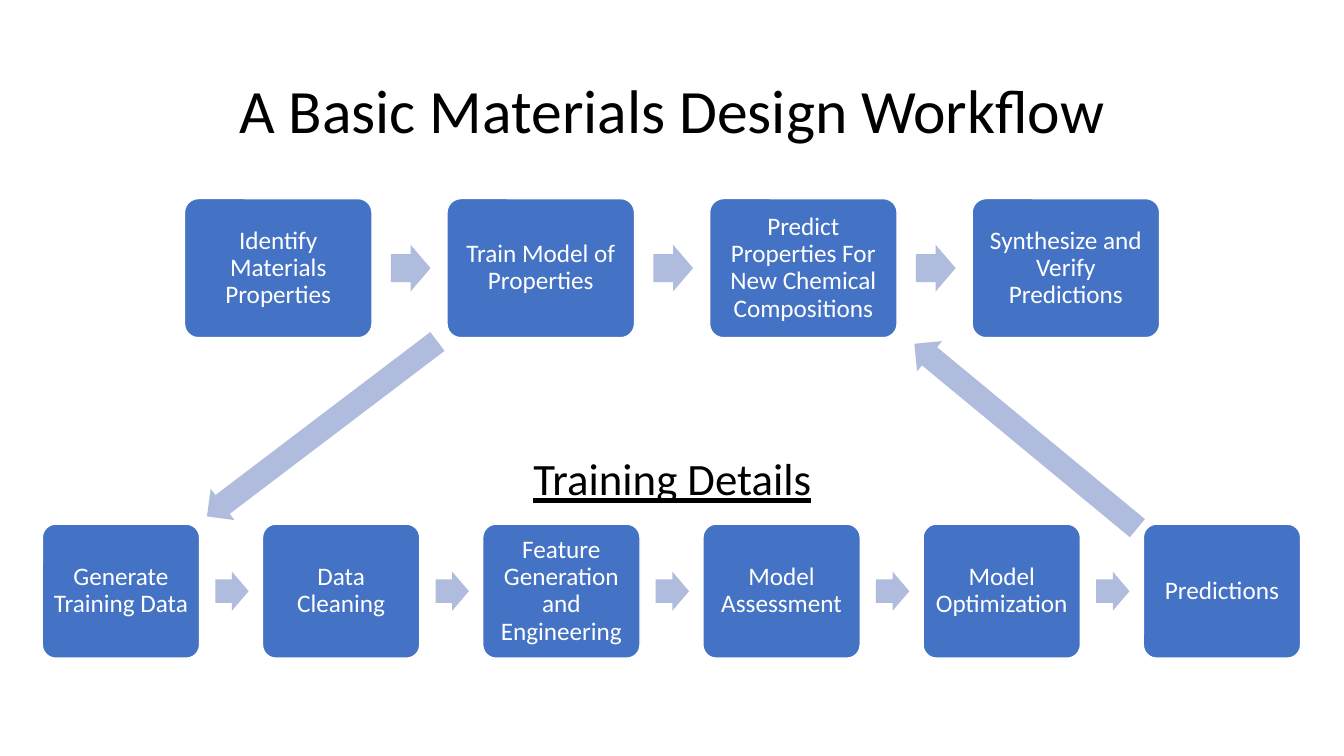
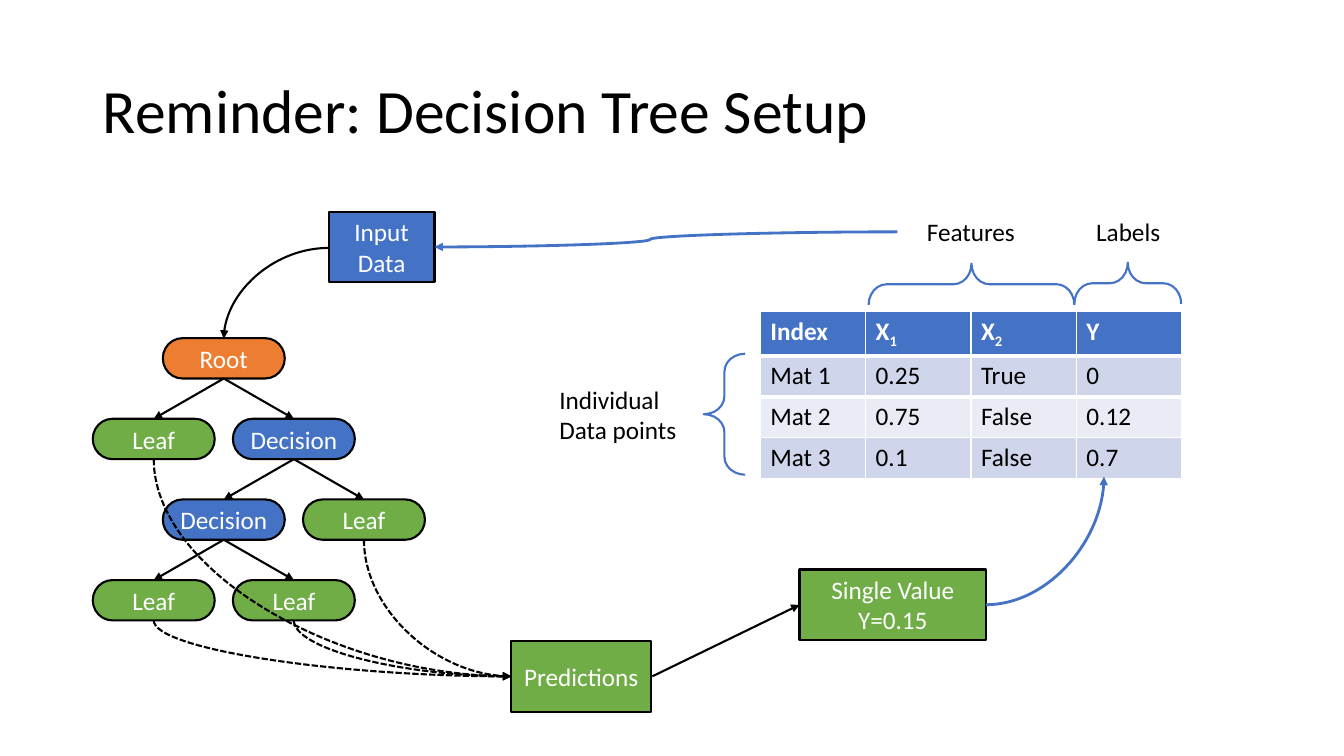
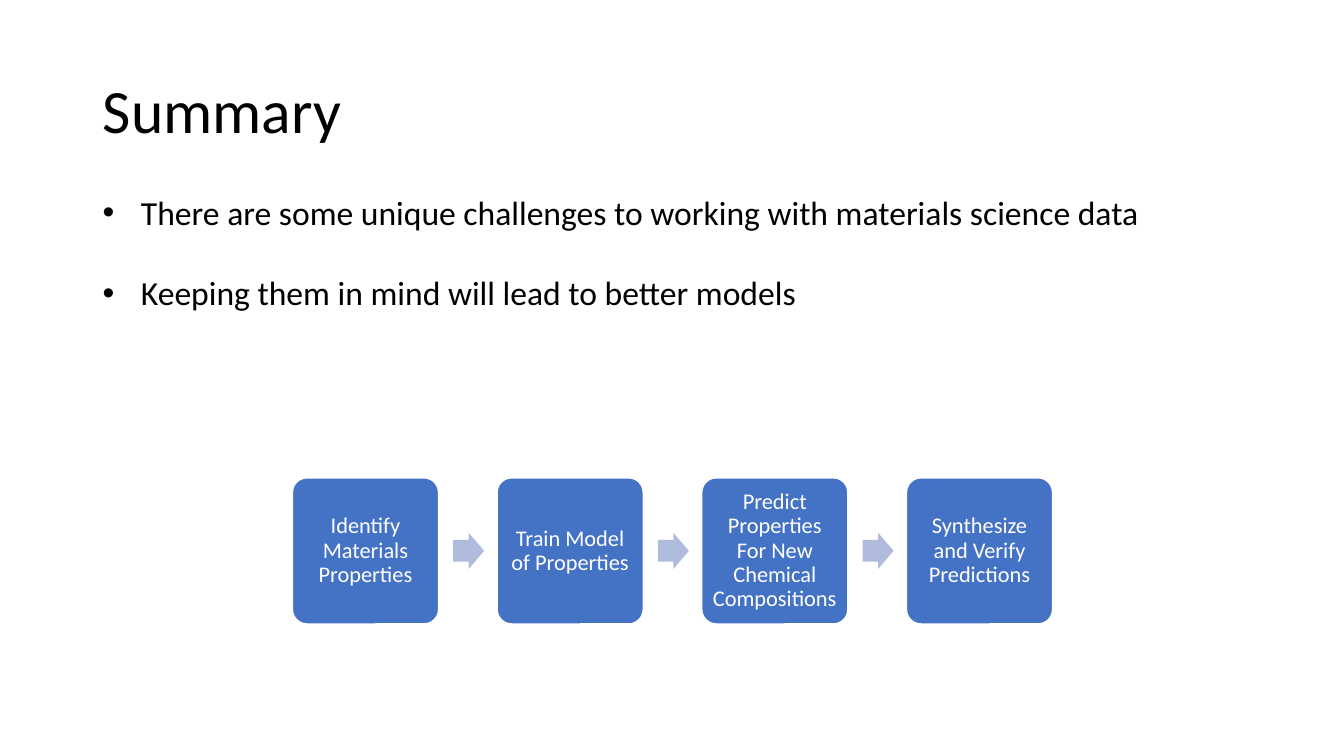
from pptx import Presentation
from pptx.dml.color import RGBColor
from pptx.enum.dml import MSO_LINE
from pptx.enum.shapes import MSO_CONNECTOR as Link, MSO_SHAPE as Kind
from pptx.enum.text import MSO_ANCHOR as Anchor, PP_ALIGN as Align
from pptx.oxml import parse_xml
from pptx.oxml.ns import nsdecls, qn
from pptx.oxml.xmlchemy import OxmlElement as Node
from pptx.util import Inches, Pt

BLUE = RGBColor(0x44, 0x72, 0xC4)
PALE = RGBColor(0xB0, 0xBC, 0xDE)
GREEN = RGBColor(0x70, 0xAD, 0x47)
ORANGE = RGBColor(0xED, 0x7D, 0x31)
BAND = RGBColor(0xCF, 0xD5, 0xEA)
LIGHT = RGBColor(0xE9, 0xEB, 0xF5)
BLACK = RGBColor(0, 0, 0)
WHITE = RGBColor(255, 255, 255)
FACE = "Calibri"
HEAD = (0.92, 0.4, 11.5, 1.45)

# Content
FLOW = ["Identify Materials Properties", "Train Model of Properties",
        "Predict Properties For New Chemical Compositions",
        "Synthesize and Verify Predictions"]
TRAIN = ["Generate Training Data", "Data Cleaning",
         "Feature Generation and Engineering", "Model Assessment",
         "Model Optimization", "Predictions"]
TURNS = [((1.76, 4.06, 2.87, 0.39), 142.8), ((8.74, 4.13, 2.87, 0.39), 219.6)]

# Tree nodes: label, column, row, colour
TREE = {
    "root": ("Root", 1, 0, ORANGE),
    "high": ("Decision", 2, 1, BLUE),
    "leaf1": ("Leaf", 0, 1, GREEN),
    "leaf2": ("Leaf", 3, 2, GREEN),
    "low": ("Decision", 1, 2, BLUE),
    "leaf3": ("Leaf", 2, 3, GREEN),
    "leaf4": ("Leaf", 0, 3, GREEN),
}
EDGES = [("root", "high"), ("root", "leaf1"), ("high", "leaf2"),
         ("high", "low"), ("low", "leaf3"), ("low", "leaf4")]
BLOCKS = [
    ("Input Data", (3.26, 2.1, 1.05, 0.7), BLUE),
    ("Predictions", (5.07, 6.36, 1.39, 0.7), GREEN),
    ("Single Value\nY=0.15", (7.93, 5.65, 1.85, 0.7), GREEN),
]
BRACES = [((6.98, 3.51, 0.41, 1.2), 0), ((9.43, 1.8, 0.41, 2.04), 90),
          ((10.98, 2.28, 0.41, 1.06), 90)]
NOTES = [("Individual Data points", (5.45, 3.76, 1.46, 0.71), Align.LEFT),
         ("Features", (8.9, 2.1, 1.46, 0.4), Align.CENTER),
         ("Labels", (10.46, 2.1, 1.46, 0.4), Align.CENTER)]
# A header cell's second part is its subscript
DATA = [[("Index", ""), ("X", "1"), ("X", "2"), ("Y", "")],
        [("Mat 1", ""), ("0.25", ""), ("True", ""), ("0", "")],
        [("Mat 2", ""), ("0.75", ""), ("False", ""), ("0.12", "")],
        [("Mat 3", ""), ("0.1", ""), ("False", ""), ("0.7", "")]]
POINTS = ["There are some unique challenges to working with materials science data",
          "Keeping them in mind will lead to better models"]


def put(item, **vals):
    """Set each named value on an item."""
    for name, val in vals.items():
        setattr(item, name, val)


def tint(font, size, color, **more):
    """Format a font."""
    put(font, name=FACE, size=Pt(size), **more)
    font.color.rgb = color


def write(frame, text, size=18, color=WHITE, align=Align.CENTER, space=None,
          anchor=Anchor.MIDDLE, **more):
    """Fill a text frame, one paragraph to a line."""
    put(frame, text=text, word_wrap=True, vertical_anchor=anchor)
    for para in frame.paragraphs:
        put(para, alignment=align, line_spacing=space)
        for run in para.runs:
            tint(run.font, size, color, **more)


def shape(slide, kind, box, fill=None, line=None, width=1.5, adj=(), turn=0):
    """Draw a preset shape."""
    item = slide.shapes.add_shape(kind, *map(Inches, box))
    item.shadow.inherit = False
    item.rotation = turn
    for i, val in enumerate(adj):
        item.adjustments[i] = val
    if fill is None:
        item.fill.background()
    else:
        item.fill.solid()
        item.fill.fore_color.rgb = fill
    if line is None:
        item.line.fill.background()
    else:
        item.line.color.rgb = line
        item.line.width = Pt(width)
    return item


def note(slide, text, box, **form):
    """Add a text box."""
    frame = slide.shapes.add_textbox(*map(Inches, box)).text_frame
    write(frame, text, color=BLACK, **form)
    return frame


def link(slide, start, end, geom="line", color=BLACK, width=1.5, dash=None,
         turn=0, adj=None):
    """Draw an arrow; a turn of 270 makes a curve leave vertically."""
    (x1, y1), (x2, y2) = start, end
    if turn:
        mx, my = (x1 + x2) / 2, (y1 + y2) / 2
        dx, dy = (x2 - x1) / 2, (y2 - y1) / 2
        x1, y1, x2, y2 = mx + dy, my - dx, mx - dy, my + dx
    item = slide.shapes.add_connector(Link.STRAIGHT, *map(Inches, (x1, y1, x2, y2)))
    item.line.color.rgb = color
    item.line.width = Pt(width)
    if dash:
        item.line.dash_style = dash
    props = item._element.spPr
    props.append(Node("a:effectLst"))
    tip = Node("a:tailEnd")
    tip.set("type", "triangle")
    props.find(qn("a:ln")).append(tip)
    form = props.find(qn("a:prstGeom"))
    form.set("prst", geom)
    if turn:
        props.find(qn("a:xfrm")).set("rot", str(turn * 60000))
    if adj:
        guide = Node("a:gd")
        guide.set("name", "adj1")
        guide.set("fmla", f"val {round(adj * 100000)}")
        form.find(qn("a:avLst")).append(guide)


def arrow(slide, box, turn=0):
    """Draw a pale block arrow."""
    shape(slide, Kind.RIGHT_ARROW, box, PALE, adj=(0.6, 0.5), turn=turn)


def steps(slide, names, left, top, wide, high, size=18):
    """Draw a row of steps with arrows between them."""
    pad = Inches(0.06)
    aw, ah = 0.212 * wide, 0.248 * wide
    for i, name in enumerate(names):
        x = left + 1.4 * wide * i
        if i:
            arrow(slide, (x - 0.3 * wide, top + (high - ah) / 2, aw, ah))
        box = shape(slide, Kind.ROUNDED_RECTANGLE, (x, top, wide, high), BLUE,
                    WHITE, 1, (0.1,))
        put(box.text_frame, margin_left=pad, margin_right=pad,
            margin_top=pad, margin_bottom=pad)
        write(box.text_frame, name, size, space=0.9)


def page(deck, text, align=Align.LEFT):
    """Add a slide with its title."""
    slide = deck.slides.add_slide(deck.slide_layouts[5])
    title = slide.shapes.title
    spots = zip(("left", "top", "width", "height"), map(Inches, HEAD))
    put(title, **dict(spots))
    write(title.text_frame, text, 44, BLACK, align, 0.9)
    return slide


def tree(slide):
    """Draw the tree and return the bottom centre of each leaf."""
    wide, high = 1.21, 0.4
    tops = {}
    for key, (text, col, row, fill) in TREE.items():
        x, y = 0.92 + 0.695 * col, 3.355 + 0.8 * row
        tops[key] = x + wide / 2, y
        box = shape(slide, Kind.FLOWCHART_TERMINATOR, (x, y, wide, high), fill, BLACK)
        write(box.text_frame, text)
    feet = {key: (x, y + high) for key, (x, y) in tops.items()}
    for above, below in EDGES:
        link(slide, feet[above], tops[below])
    return [feet[key] for key in TREE if key.startswith("leaf")]


def rule(cell, side, width):
    """Draw a white border on one side of a cell."""
    line = parse_xml(f'<a:{side} {nsdecls("a")} w="{Pt(width)}"><a:solidFill>'
                     f'<a:srgbClr val="{WHITE}"/></a:solidFill></a:{side}>')
    cell._tc.get_or_add_tcPr().insert(0, line)


def grid(slide):
    """Add the data table."""
    rows, cols = len(DATA), len(DATA[0])
    box = map(Inches, (7.54, 3.09, 4.18, 1.62))
    table = slide.shapes.add_table(rows, cols, *box).table
    for r, line in enumerate(DATA):
        for c, (text, sub) in enumerate(line):
            cell = table.cell(r, c)
            cell.fill.solid()
            cell.fill.fore_color.rgb = (BAND if r % 2 else LIGHT) if r else BLUE
            color = BLACK if r else WHITE
            write(cell.text_frame, text, 18, color, Align.LEFT,
                  anchor=Anchor.TOP, bold=r == 0)
            if r < 2:
                rule(cell, "lnT" if r else "lnB", 3)
            if sub:
                run = cell.text_frame.paragraphs[0].add_run()
                run.text = sub
                tint(run.font, 18, color, bold=True)
                run.font._element.set("baseline", "-25000")


def bullet(para):
    """Give a paragraph a hanging bullet."""
    props = para._p.get_or_add_pPr()
    props.set("marL", str(Inches(0.38)))
    props.set("indent", str(Inches(-0.38)))
    for tag, key, val in (("a:buFont", "typeface", "Arial"), ("a:buChar", "char", "•")):
        part = Node(tag)
        part.set(key, val)
        props.append(part)


def work(deck):
    """Build the workflow slide."""
    slide = page(deck, "A Basic Materials Design Workflow", Align.CENTER)
    steps(slide, FLOW, 1.83, 1.97, 1.86, 1.38)
    steps(slide, TRAIN, 0.42, 5.2, 1.56, 1.33)
    for box, turn in TURNS:
        arrow(slide, box, turn)
    note(slide, "Training Details", (0.92, 4.05, 11.5, 1.45), size=32,
         space=0.9, underline=True)


def setup(deck):
    """Build the decision tree slide."""
    slide = page(deck, "Reminder: Decision Tree Setup")
    leaves = tree(slide)
    link(slide, (3.26, 2.46), (2.22, 3.36), "curvedConnector2")
    for foot in leaves:
        link(slide, foot, (5.07, 6.71), "curvedConnector2",
             dash=MSO_LINE.SQUARE_DOT, turn=270)
    for text, box, fill in BLOCKS:
        item = shape(slide, Kind.FLOWCHART_PROCESS, box, fill, BLACK)
        write(item.text_frame, text)
    link(slide, (6.47, 6.71), (7.93, 6))
    grid(slide)
    for box, turn in BRACES:
        shape(slide, Kind.LEFT_BRACE, box, line=BLUE, adj=(0.434, 0.5), turn=turn)
    for text, box, align in NOTES:
        note(slide, text, box, align=align, anchor=Anchor.TOP)
    link(slide, (8.9, 2.3), (4.31, 2.45), "curvedConnector3", BLUE, 2, adj=0.534)
    link(slide, (9.78, 6), (10.95, 4.73), "curvedConnector2", BLUE, 2)


def close(deck):
    """Build the summary slide."""
    slide = page(deck, "Summary")
    steps(slide, FLOW, 2.9, 4.74, 1.45, 1.45, 16)
    frame = note(slide, "\n".join(POINTS), (0.92, 1.85, 11.5, 1.31), size=24,
                 align=Align.LEFT, anchor=Anchor.TOP)
    for para in frame.paragraphs:
        bullet(para)
    frame.paragraphs[0].space_after = Pt(29)


deck = Presentation()
put(deck, slide_width=Inches(13.33), slide_height=Inches(7.5))
for build in (work, setup, close):
    build(deck)
deck.save("out.pptx")
